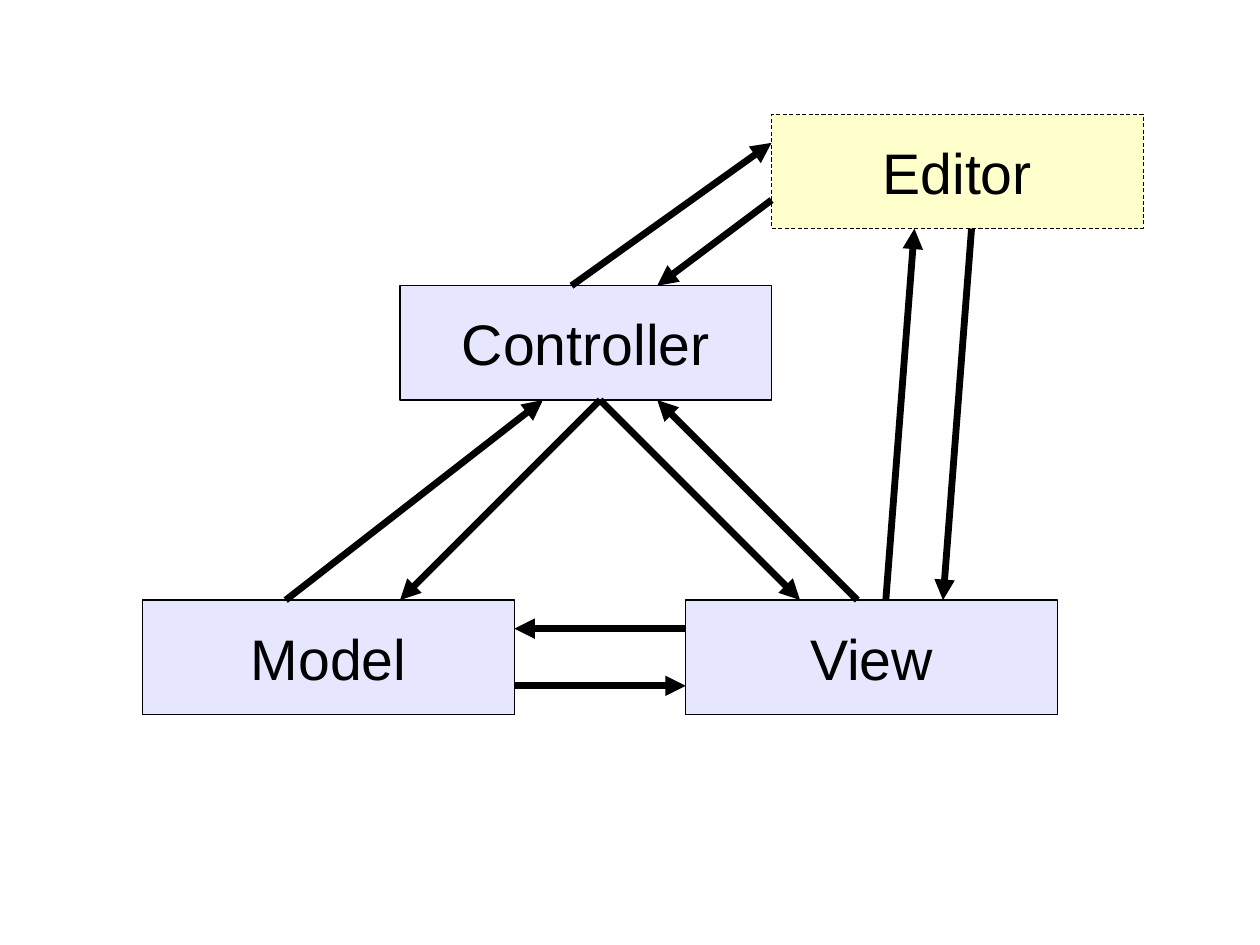
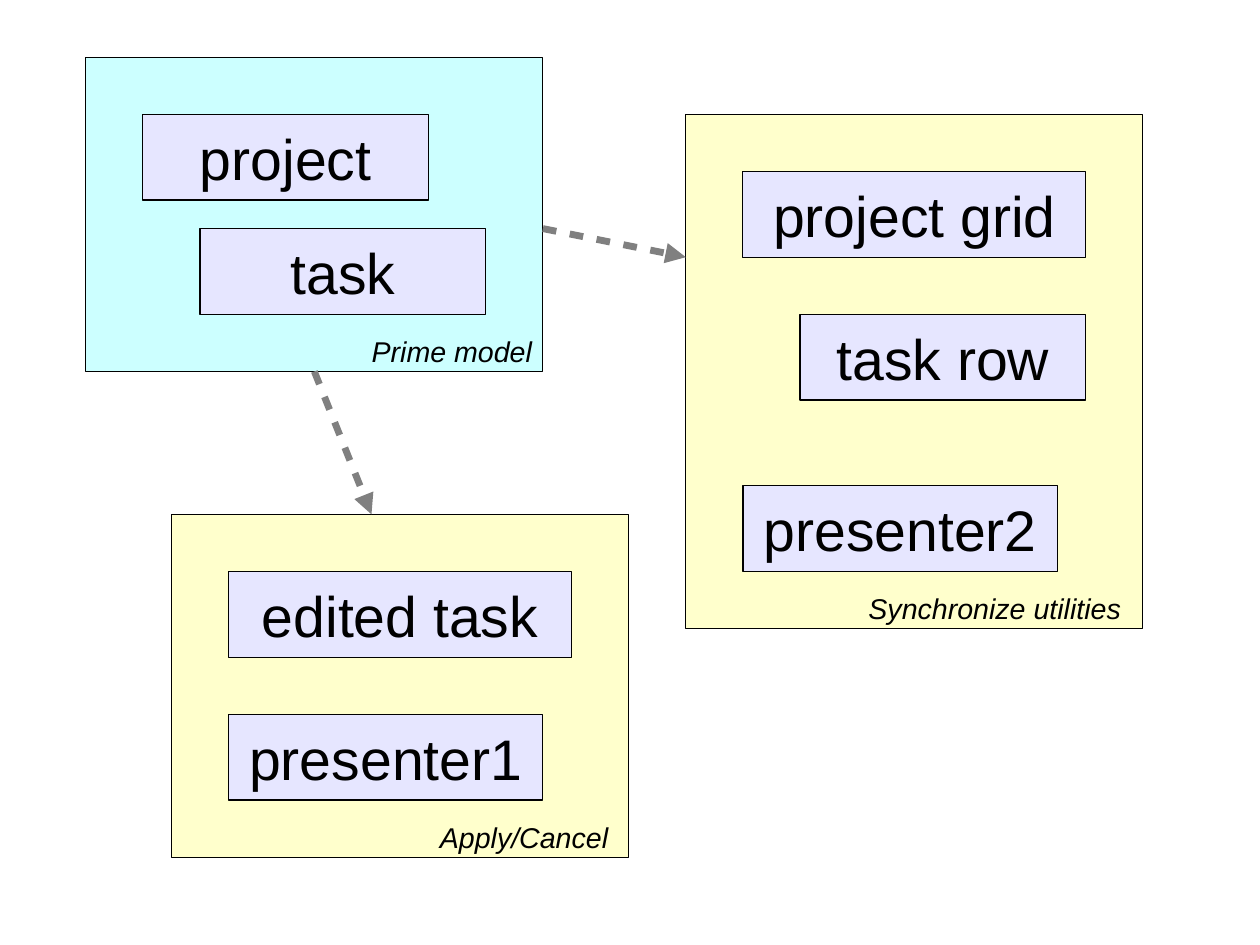
"""Build two architecture diagrams: model-view-controller and model synchronisation."""
from dataclasses import dataclass

from lxml.etree import SubElement
from pptx import Presentation
from pptx.dml.color import RGBColor as RGB
from pptx.enum.shapes import MSO_CONNECTOR as CONN, MSO_SHAPE as SHAPE
from pptx.enum.text import MSO_ANCHOR as ANCHOR, MSO_AUTO_SIZE as AUTO, PP_ALIGN as ALIGN
from pptx.oxml.ns import qn
from pptx.util import Pt


@dataclass(frozen=True)
class Theme:
    font: str = "Arial"
    box_size: float = 36
    label_size: float = 18
    hairline: float = 0
    dashed_border: float = 0.5
    arrow_width: float = 4.31
    ink: RGB = RGB(0x00, 0x00, 0x00)
    grey: RGB = RGB(0x80, 0x80, 0x80)
    lavender: RGB = RGB(0xE6, 0xE6, 0xFF)
    yellow: RGB = RGB(0xFF, 0xFF, 0xCC)
    cyan: RGB = RGB(0xCC, 0xFF, 0xFF)


T = Theme()


def add_slide(prs):
    return prs.slides.add_slide(prs.slide_layouts[6])


def set_line(sp, color, width, dash=None):
    sp.line.color.rgb = color
    sp.line.width = Pt(width)
    ln = sp._element.spPr.find(qn("a:ln"))
    if dash:
        on, off = dash
        cust = SubElement(ln, qn("a:custDash"))
        SubElement(cust, qn("a:ds"), d=str(on * 100000), sp=str(off * 100000))
    return ln


def add_text(tf, text, size, italic=False):
    p = tf.paragraphs[0]
    r = p.add_run()
    r.text = text
    r.font.name = T.font
    r.font.size = Pt(size)
    r.font.italic = italic
    r.font.color.rgb = T.ink
    return p


def add_box(s, left, top, width, height, text="", fill=T.lavender, border=T.hairline, dash=None):
    sp = s.shapes.add_shape(SHAPE.RECTANGLE, Pt(left), Pt(top), Pt(width), Pt(height))
    sp.shadow.inherit = False
    sp.fill.solid()
    sp.fill.fore_color.rgb = fill
    set_line(sp, T.ink, border, dash)
    if text:
        tf = sp.text_frame
        tf.word_wrap = True
        tf.vertical_anchor = ANCHOR.MIDDLE
        add_text(tf, text, T.box_size).alignment = ALIGN.CENTER


def add_label(s, left, top, width, text):
    sp = s.shapes.add_textbox(Pt(left), Pt(top), Pt(width), Pt(27))
    tf = sp.text_frame
    tf.word_wrap = True
    tf.auto_size = AUTO.NONE
    add_text(tf, text, T.label_size, italic=True)


def add_arrow(s, x1, y1, x2, y2, color=T.ink, dash=None):
    c = s.shapes.add_connector(CONN.STRAIGHT, Pt(x1), Pt(y1), Pt(x2), Pt(y2))
    ln = set_line(c, color, T.arrow_width, dash)
    SubElement(ln, qn("a:tailEnd"), type="triangle")
    SubElement(c._element.spPr, qn("a:effectLst"))


def build_mvc(prs):
    s = add_slide(prs)
    width, height = 234, 72
    for left, top, name in ((90, 378, "Model"), (432, 378, "View"), (252, 180, "Controller")):
        add_box(s, left, top, width, height, name)
    add_box(s, 486, 72, width, height, "Editor", T.yellow, T.dashed_border, dash=(5, 3))
    for ends in (
        (180, 378, 342, 252), (540, 378, 414, 252),
        (378, 252, 252, 378), (378, 252, 504, 378),
        (432, 396, 324, 396), (324, 432, 432, 432),
        (360, 180, 486, 90), (486, 126, 414, 180),
        (558, 378, 576, 144), (612, 144, 594, 378),
    ):
        add_arrow(s, *ends)


def build_sync(prs):
    s = add_slide(prs)
    for left, top, height, fill in (
        (54, 36, 198, T.cyan), (108, 324, 216, T.yellow), (432, 72, 324, T.yellow),
    ):
        add_box(s, left, top, 288, height, fill=fill)
    for left, top, width, name in (
        (90, 72, 180, "project"), (126, 144, 180, "task"),
        (144, 360, 216, "edited task"), (144, 450, 198, "presenter1"),
        (468, 108, 216, "project grid"), (504, 198, 180, "task row"),
        (468, 306, 198, "presenter2"),
    ):
        add_box(s, left, top, width, 54, name)
    for ends in ((198, 234, 234, 324), (342, 144, 432, 162)):
        add_arrow(s, *ends, color=T.grey, dash=(2, 2))
    for left, top, width, text in (
        (540, 368.5, 180, "Synchronize utilities"),
        (270, 513, 126, "Apply/Cancel"),
        (227, 207, 126, "Prime model"),
    ):
        add_label(s, left, top, width, text)


def main():
    prs = Presentation()
    prs.slide_width, prs.slide_height = Pt(793.7), Pt(595.28)
    build_mvc(prs)
    build_sync(prs)
    prs.save("out.pptx")


if __name__ == "__main__":
    main()
